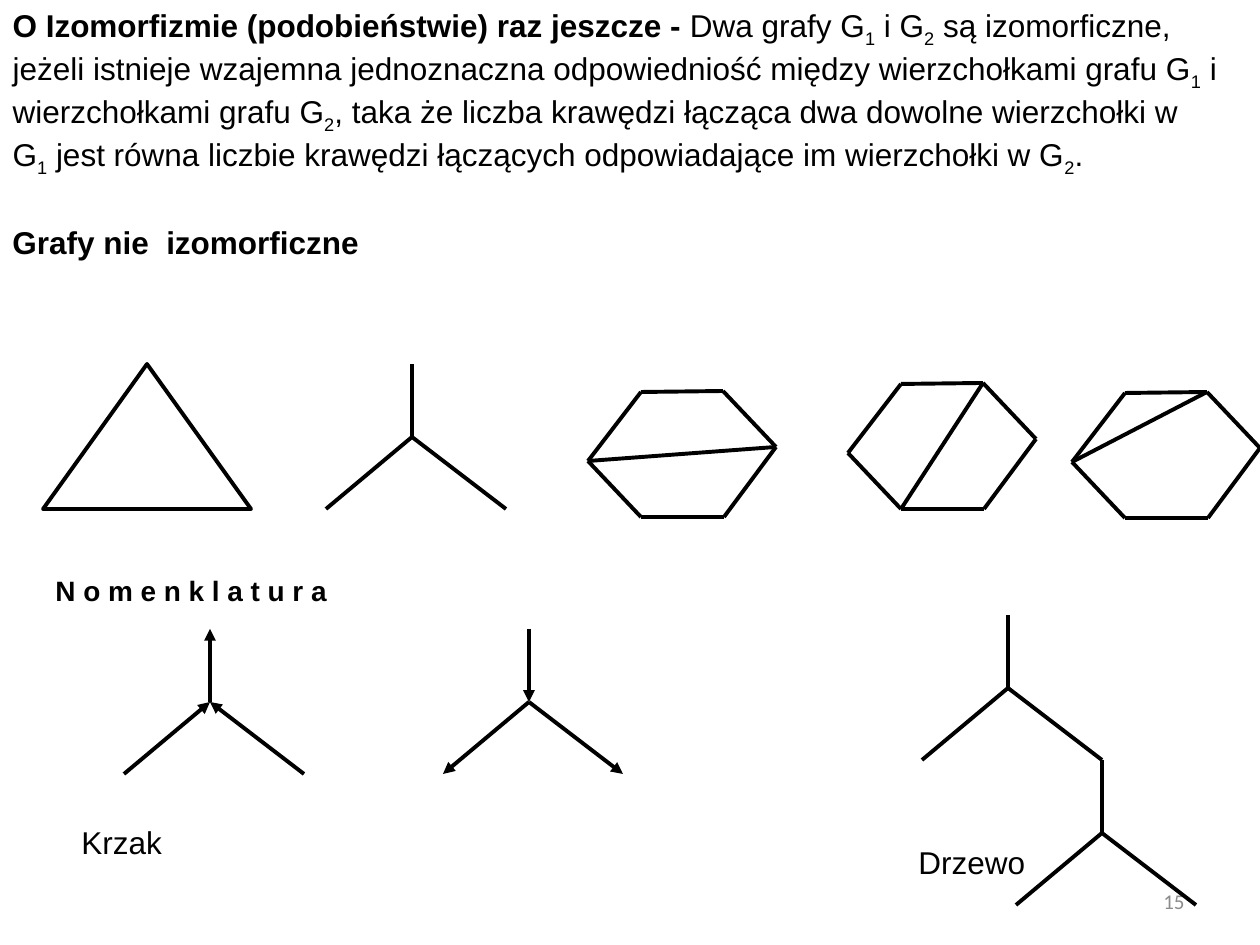
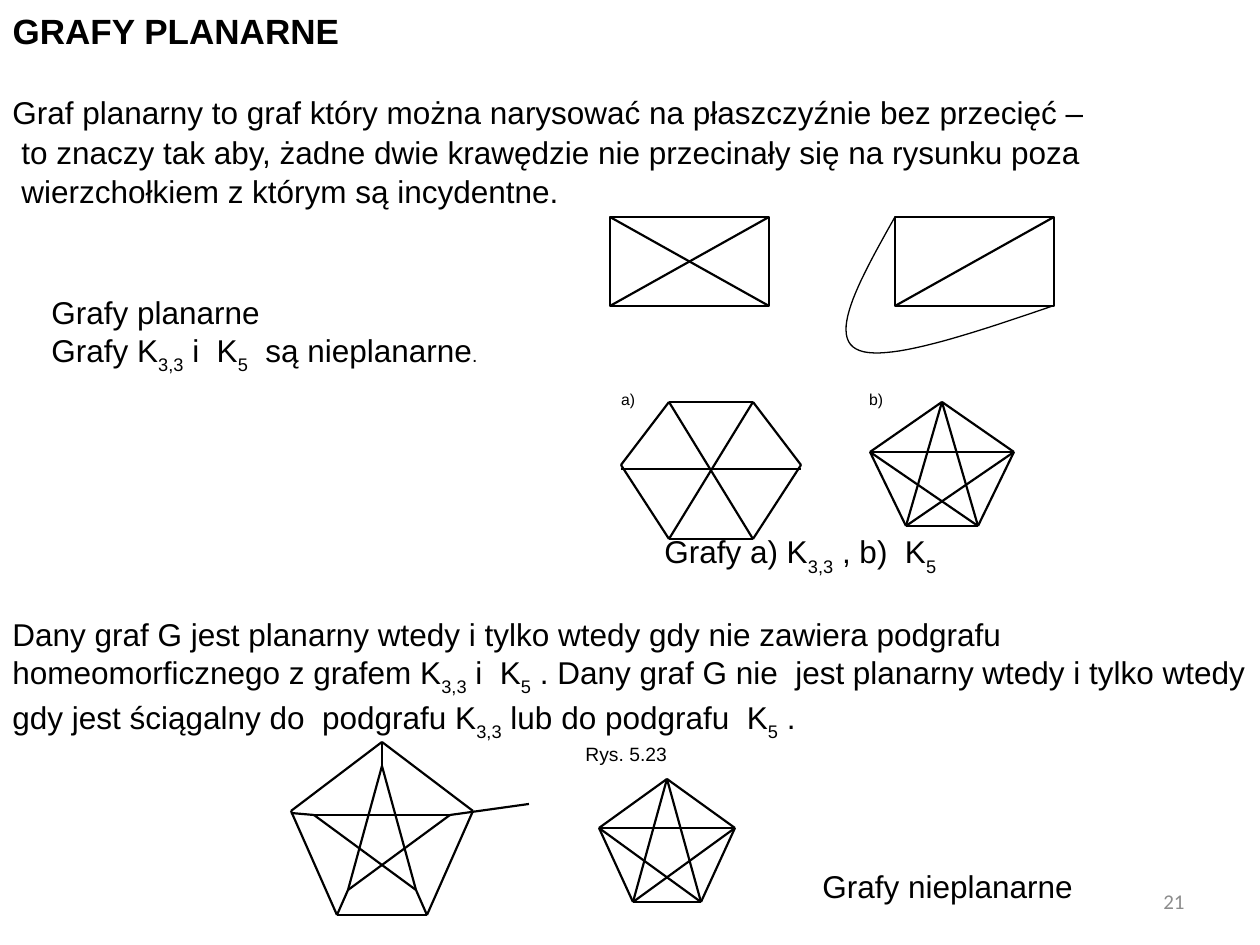
from dataclasses import dataclass

from lxml import etree
from pptx import Presentation
from pptx.dml.color import RGBColor
from pptx.enum.shapes import MSO_CONNECTOR, MSO_SHAPE
from pptx.enum.text import MSO_ANCHOR, MSO_AUTO_SIZE, PP_ALIGN
from pptx.oxml.ns import qn
from pptx.util import Emu, Pt

LEFT, CENTER, RIGHT = PP_ALIGN.LEFT, PP_ALIGN.CENTER, PP_ALIGN.RIGHT
TOP, MIDDLE = MSO_ANCHOR.TOP, MSO_ANCHOR.MIDDLE
NO_FIT = MSO_AUTO_SIZE.NONE
STRAIGHT = MSO_CONNECTOR.STRAIGHT
TRIANGLE, RECTANGLE = MSO_SHAPE.ISOSCELES_TRIANGLE, MSO_SHAPE.RECTANGLE


@dataclass(frozen=True)
class Theme:
    ink: RGBColor = RGBColor(0, 0, 0)
    paper: RGBColor = RGBColor(255, 255, 255)
    muted: RGBColor = RGBColor(0x8C, 0x8C, 0x8C)
    font: str = "Arial"
    number_font: str = "Calibri"
    heading: int = 20
    body: int = 18
    subheading: int = 16
    number: int = 12
    caption: int = 11
    tag: int = 9
    thick: float = 2.25
    medium: float = 1.25
    thin: float = 0.75


T = Theme()
EMU_PER_PX = 914400 / 126
WIDTH, HEIGHT = 1260, 945

# In texts, * toggles bold, ~ toggles subscript and ^ toggles caption size.
ISOMORPHISM = (
    "*O Izomorfizmie (podobieństwie) raz jeszcze - *Dwa grafy G~1~ i G~2~ są izomorficzne, "
    "jeżeli istnieje wzajemna jednoznaczna odpowiedniość między wierzchołkami grafu G~1~ i "
    "wierzchołkami grafu G~2~, taka że liczba krawędzi łącząca dwa dowolne wierzchołki w "
    "G~1~ jest równa liczbie krawędzi łączących odpowiadające im wierzchołki w G~2~."
)
ISOMORPHISM_LABELS = [
    ("*Grafy nie  izomorficzne*", (0, 217, 630, 47), {}),
    ("*N o m e n k l a t u r a*", (43, 567, 360, 47), {"size": T.subheading}),
    ("Krzak", (69, 817, 116, 50), {}),
    ("Drzewo", (906, 837, 134, 50), {}),
]
PLANAR_LABELS = [
    ("Graf planarny to graf który można narysować na płaszczyźnie bez przecięć – "
     "to znaczy tak aby, żadne dwie krawędzie nie przecinały się na rysunku poza "
     "wierzchołkiem z którym są incydentne.",
     (0, 85, 1110, 130), {"spacing": 1.05, "hang": 9}),
    ("Grafy planarne\nGrafy K~3,3~ i  K~5~  są nieplanarne^.^", (39, 287, 500, 95), {}),
    ("a)", (601, 384, 54, 39), {"size": T.tag, "align": CENTER}),
    ("b)", (849, 384, 54, 39), {"size": T.tag, "align": CENTER}),
    ("Grafy a) K~3,3~ , b)  K~5~", (652, 526, 320, 55), {}),
    ("Dany graf G jest planarny wtedy i tylko wtedy gdy nie zawiera podgrafu "
     "homeomorficznego z grafem K~3,3~ i  K~5~ . Dany graf G nie  jest planarny wtedy "
     "i tylko wtedy gdy jest ściągalny do  podgrafu K~3,3~ lub do podgrafu  K~5~ .",
     (0, 609, 1260, 135), {}),
    ("Rys. 5.23", (573, 736, 120, 36), {"size": T.caption}),
    ("Grafy nieplanarne", (810, 861, 300, 50), {}),
]

HEXAGON = [(641, 392), (723, 391), (776, 447), (724, 517), (641, 517), (588, 461)]
HEXAGON_COPIES = [((0, 0), (5, 2)), ((260, -8), (1, 4)), ((484, 1), (1, 5))]
STARS = [((412, 437), None), ((210, 702), "headEnd"), ((529, 702), "tailEnd"),
         ((1008, 688), None), ((1102, 833), None)]
STAR_TOP, STAR_LEGS = (0, -73), [(-86, 72), (94, 72)]

K33 = [(669, 402), (753, 402), (801, 465), (753, 539), (669, 539), (621, 465)]
K33_CHORDS = [((669, 402), (753, 539)), ((753, 402), (669, 539)), ((621, 469), (801, 469))]
K4_BOXES = [(610, 217), (895, 217)]
K4_SIZE = (159, 89)
K4_CURVE = [((1053, 306), (968, 335), (882, 364), (856, 349)),
            ((856, 349), (829, 334), (862, 276), (895, 217))]
CURVE_STEPS = 24
PETERSEN_LINKS = [((291, 813), (314, 815)), ((450, 815), (529, 804))]


def px(n):
    return Emu(round(n * EMU_PER_PX))


def split_marks(text):
    active, chunk = set(), ""
    for ch in text:
        if ch in "*~^":
            if chunk:
                yield chunk, frozenset(active)
            active ^= {ch}
            chunk = ""
        else:
            chunk += ch
    if chunk:
        yield chunk, frozenset(active)


def write(sp, text, box, size=T.body, font=T.font, color=T.ink, align=LEFT,
          anchor=TOP, spacing=1.0, hang=0, sub=-30):
    sp.left, sp.top, sp.width, sp.height = map(px, box)
    tf = sp.text_frame
    tf.word_wrap, tf.auto_size, tf.vertical_anchor = True, NO_FIT, anchor
    for i, line in enumerate(text.split("\n")):
        p = tf.add_paragraph() if i else tf.paragraphs[0]
        p.alignment, p.line_spacing = align, spacing
        if hang:
            pPr = p._p.get_or_add_pPr()
            pPr.set("marL", str(px(hang)))
            pPr.set("indent", str(-px(hang)))
        for chunk, marks in split_marks(line):
            r = p.add_run()
            r.text = chunk
            r.font.name, r.font.bold = font, "*" in marks
            r.font.size = Pt(T.caption if "^" in marks else size)
            r.font.color.rgb = color
            if "~" in marks:
                r._r.get_or_add_rPr().set("baseline", str(sub * 1000))


def add_text(s, text, box, **fmt):
    write(s.shapes.add_textbox(0, 0, 0, 0), text, box, **fmt)


def add_edge(s, a, b, width=T.medium, arrow=None):
    c = s.shapes.add_connector(STRAIGHT, *map(px, (*a, *b)))
    c.line.color.rgb, c.line.width = T.ink, Pt(width)
    if arrow:
        etree.SubElement(c.line._get_or_add_ln(), qn("a:" + arrow), type="triangle")
    etree.SubElement(c._element.spPr, qn("a:effectLst"))


def add_ring(s, points, width=T.medium):
    for a, b in zip(points, points[1:] + points[:1]):
        add_edge(s, a, b, width)


def add_pentagram(s, points):
    add_ring(s, points[::2] + points[1::2])


def outline(sp, width, filled=True):
    sp.shadow.inherit = False
    if filled:
        sp.fill.solid()
        sp.fill.fore_color.rgb = T.paper
    else:
        sp.fill.background()
    sp.line.color.rgb, sp.line.width = T.ink, Pt(width)


def add_outlined(s, kind, box, width):
    outline(s.shapes.add_shape(kind, *map(px, box)), width)


def shift(point, by):
    return point[0] + by[0], point[1] + by[1]


def pentagon(apex, half, shoulder, foot, drop):
    return [shift(apex, d) for d in
            ((0, 0), (half, shoulder), (foot, drop), (-foot, drop), (-half, shoulder))]


def bezier(a, b, c, d):
    for i in range(CURVE_STEPS + 1):
        t = i / CURVE_STEPS
        weights = ((1 - t) ** 3, 3 * t * (1 - t) ** 2, 3 * t * t * (1 - t), t ** 3)
        yield tuple(px(sum(w * q[k] for w, q in zip(weights, (a, b, c, d)))) for k in (0, 1))


def add_curve(s, segments):
    points = [q for segment in segments for q in bezier(*segment)]
    fb = s.shapes.build_freeform(*points[0])
    fb.add_line_segments(points[1:], close=False)
    outline(fb.convert_to_shape(), T.thin, filled=False)


def new_slide(prs, number, title, box, labels, **fmt):
    s = prs.slides.add_slide(prs.slide_layouts[5])
    write(s.shapes.title, title, box, **fmt)
    add_text(s, number, (903, 876, 294, 50), size=T.number, font=T.number_font,
             color=T.muted, align=RIGHT, anchor=MIDDLE)
    for text, place, style in labels:
        add_text(s, text, place, **style)
    return s


def isomorphism_slide(prs):
    s = new_slide(prs, "15", ISOMORPHISM, (0, 0, 1231, 190), ISOMORPHISM_LABELS, sub=-25)
    add_outlined(s, TRIANGLE, (43, 364, 208, 145), T.thick)
    for by, (i, j) in HEXAGON_COPIES:
        points = [shift(q, by) for q in HEXAGON]
        add_ring(s, points, T.thick)
        add_edge(s, points[i], points[j], T.thick)
    for hub, arrow in STARS:
        add_edge(s, shift(hub, STAR_TOP), hub, T.thick, arrow)
        for leg in STAR_LEGS:
            add_edge(s, hub, shift(hub, leg), T.thick, arrow)


def planar_slide(prs):
    s = new_slide(prs, "21", "*GRAFY PLANARNE*", (0, 3, 1106, 55), PLANAR_LABELS,
                  size=T.heading)
    w, h = K4_SIZE
    for x, y in K4_BOXES:
        add_outlined(s, RECTANGLE, (x, y, w, h), T.medium)
        add_edge(s, (x + w, y), (x, y + h))
    x, y = K4_BOXES[0]
    add_edge(s, (x, y), (x + w, y + h))
    add_curve(s, K4_CURVE)

    add_ring(s, K33)
    for a, b in K33_CHORDS + PETERSEN_LINKS:
        add_edge(s, a, b)
    for points in (pentagon((942, 402), 72, 50, 36, 124),
                   pentagon((667, 779), 68, 49, 34, 123)):
        add_ring(s, points)
        add_pentagram(s, points)

    outer = pentagon((382, 742), 91, 69, 45, 173)
    inner = pentagon((382, 766), 68, 49, 34, 124)
    add_ring(s, outer)
    add_pentagram(s, inner)
    for i in (0, 2, 3):
        add_edge(s, outer[i], inner[i])


def main():
    prs = Presentation()
    prs.slide_width, prs.slide_height = px(WIDTH), px(HEIGHT)
    isomorphism_slide(prs)
    planar_slide(prs)
    prs.save("out.pptx")


if __name__ == "__main__":
    main()
